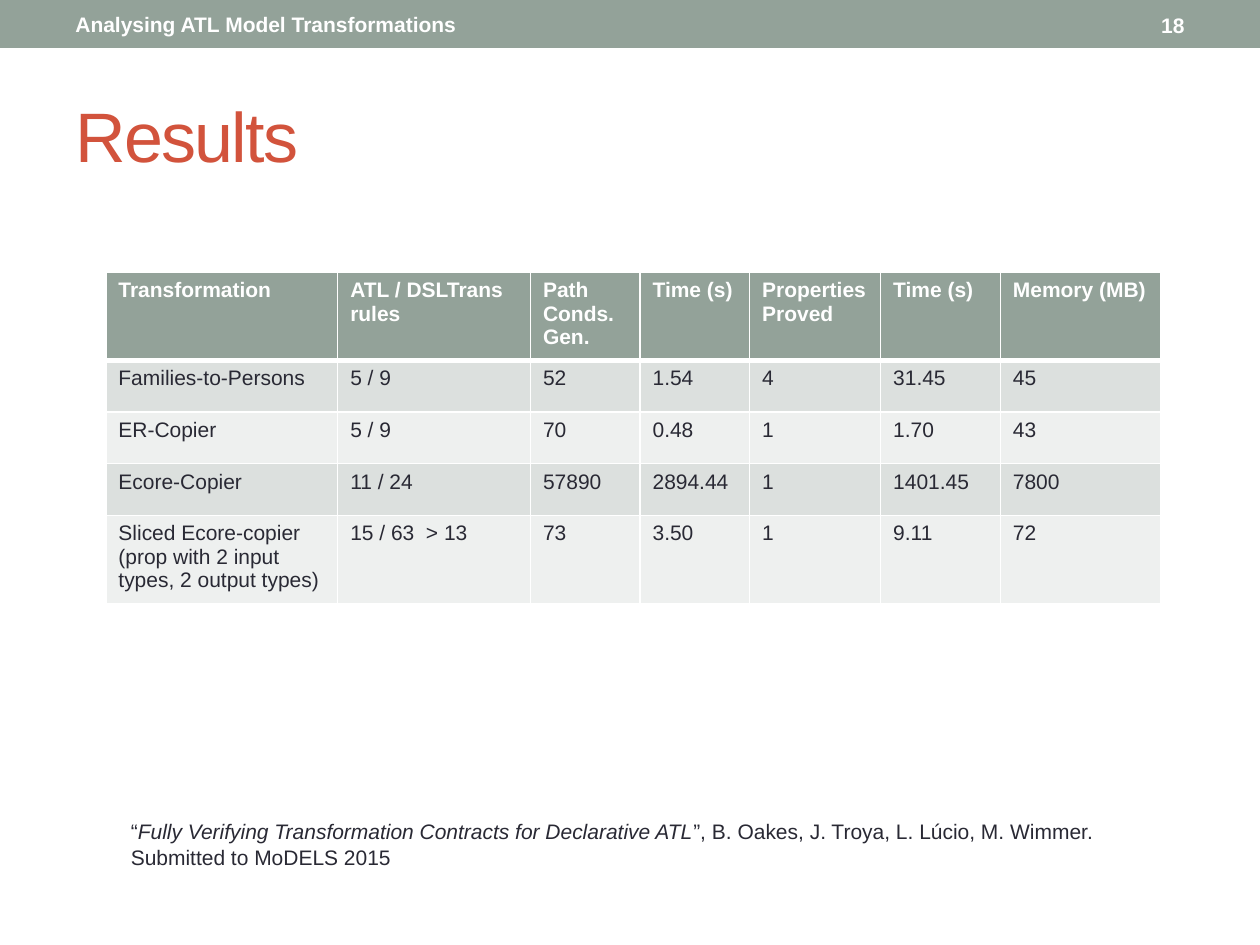
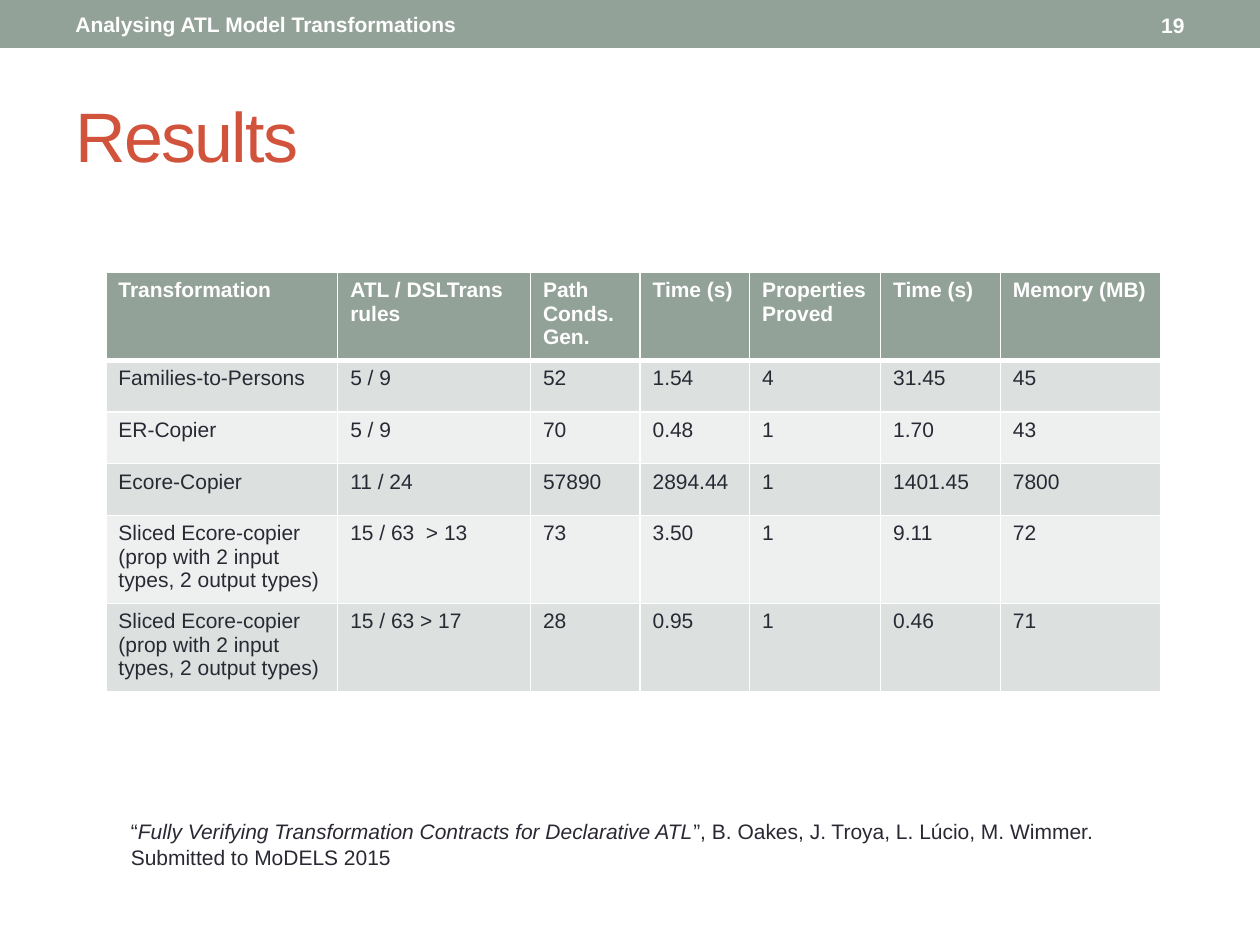
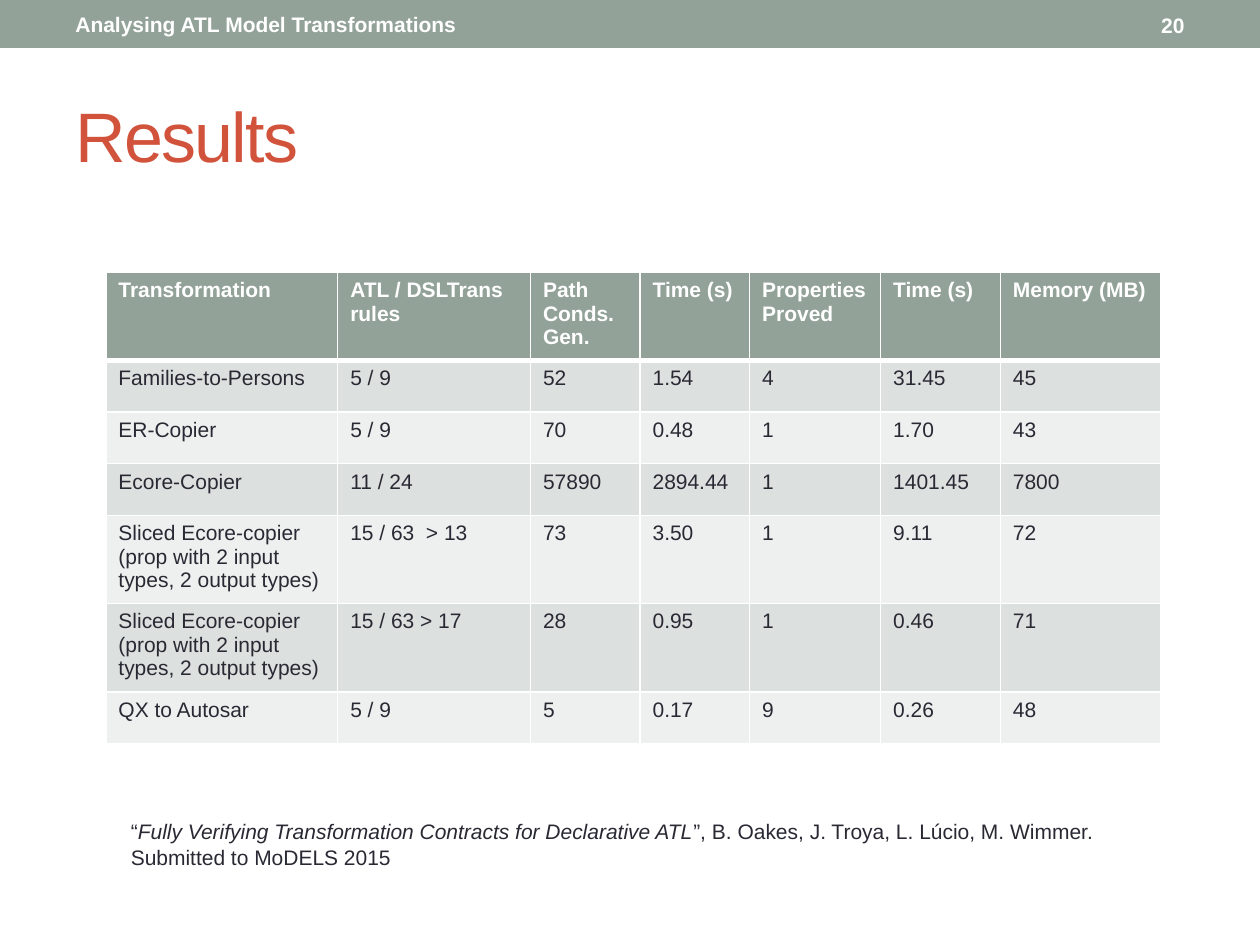
from lxml import etree
from pptx import Presentation
from pptx import util as u
from pptx.dml.color import RGBColor
from pptx.enum import shapes, text
from pptx.oxml import ns

SAGE = RGBColor(0x93, 0xA2, 0x99)
RUST = RGBColor(0xD2, 0x53, 0x3C)
INK = RGBColor(0x29, 0x29, 0x34)
WHITE = RGBColor(0xFF, 0xFF, 0xFF)
ROW_TINTS = (RGBColor(0xDC, 0xE0, 0xDE), RGBColor(0xEE, 0xF0, 0xEF))

BODY = {"name": "Arial", "size": u.Pt(12), "bold": False, "color": INK}
STRONG = {**BODY, "bold": True, "color": WHITE}
HEADLINE = {**BODY, "size": u.Pt(40), "color": RUST}

COLUMN_WIDTHS = (1.84, 1.53, 0.87, 0.87, 1.04, 0.95, 1.27)
HEADER_HEIGHT, ROW_HEIGHT = 0.65, 0.41
HEADER = ("Transformation", "ATL / DSLTrans rules", "Path Conds. Gen.", "Time (s)",
          "Properties Proved", "Time (s)", "Memory (MB)")
RESULTS = (
    ("Families-to-Persons", "5 / 9", "52", "1.54", "4", "31.45", "45"),
    ("ER-Copier", "5 / 9", "70", "0.48", "1", "1.70", "43"),
    ("Ecore-Copier", "11 / 24", "57890", "2894.44", "1", "1401.45", "7800"),
    ("Sliced Ecore-copier (prop with 2 input types, 2 output types)",
     "15 / 63  > 13", "73", "3.50", "1", "9.11", "72"),
    ("Sliced Ecore-copier\n(prop with 2 input types, 2 output types)",
     "15 / 63 > 17", "28", "0.95", "1", "0.46", "71"),
    ("QX to Autosar", "5 / 9", "5", "0.17", "9", "0.26", "48"),
)
CITATION = (
    (("“", {}),
     ("Fully Verifying Transformation Contracts for Declarative ATL", {"italic": True}),
     ("”, B. Oakes, J. Troya, L. Lúcio, M. Wimmer.", {})),
    (("Submitted to MoDELS 2015", {}),),
)
FIRST_NUMBER = 18
FIRST_ROW_COUNT = 4


def apply_font(font, style):
    for key, value in style.items():
        if key == "color":
            font.color.rgb = value
        else:
            setattr(font, key, value)


def set_borders(cell, points_by_side):
    """Draw white cell borders; sides are L, R, T, B, the order the schema asks for."""
    properties = cell._tc.get_or_add_tcPr()
    for side, points in points_by_side.items():
        line = etree.SubElement(properties, ns.qn(f"a:ln{side}"), w=str(u.Pt(points)))
        fill = etree.SubElement(line, ns.qn("a:solidFill"))
        etree.SubElement(fill, ns.qn("a:srgbClr"), val=str(WHITE))


class Deck:
    """Holds the presentation, its shared look and the current slide."""

    def __init__(self):
        self.presentation = Presentation()
        self.presentation.slide_width = u.Inches(10)
        self.presentation.slide_height = u.Inches(7.5)
        self.slide = None

    def new_slide(self, title, number):
        self.slide = self.presentation.slides.add_slide(self.presentation.slide_layouts[6])
        self.band(0, 0, 10, 0.38)
        self.label(0.5, 0.01, 6.79, 0.36, "Analysing ATL Model Transformations", STRONG)
        headline = self.label(0.5, 0.53, 9, 1.08, title, HEADLINE)
        headline.runs[0].font._element.set("spc", "-100")
        page = self.label(8.33, 0.02, 1.17, 0.36, str(number), STRONG)
        page.alignment = text.PP_ALIGN.RIGHT

    def band(self, *box):
        band = self.slide.shapes.add_shape(shapes.MSO_SHAPE.RECTANGLE, *map(u.Inches, box))
        band.shadow.inherit = False
        band.fill.solid()
        band.fill.fore_color.rgb = SAGE
        band.line.fill.background()

    def text_frame(self, *box, **settings):
        frame = self.slide.shapes.add_textbox(*map(u.Inches, box)).text_frame
        for key, value in settings.items():
            setattr(frame, key, value)
        return frame

    def label(self, left, top, width, height, words, style):
        """Add one line, centred vertically, and return its paragraph."""
        frame = self.text_frame(left, top, width, height, word_wrap=True,
                                vertical_anchor=text.MSO_ANCHOR.MIDDLE)
        frame.text = words
        apply_font(frame.paragraphs[0].runs[0].font, style)
        return frame.paragraphs[0]

    def citation(self, *box):
        frame = self.text_frame(*box, word_wrap=False,
                                auto_size=text.MSO_AUTO_SIZE.SHAPE_TO_FIT_TEXT)
        for index, pieces in enumerate(CITATION):
            paragraph = frame.add_paragraph() if index else frame.paragraphs[0]
            for words, emphasis in pieces:
                run = paragraph.add_run()
                run.text = words
                apply_font(run.font, {**BODY, **emphasis})

    def results_table(self, left, top, results):
        rows = (HEADER, *results)
        height = HEADER_HEIGHT + ROW_HEIGHT * len(results)
        table = self.slide.shapes.add_table(
            len(rows), len(HEADER),
            *map(u.Inches, (left, top, sum(COLUMN_WIDTHS), height))).table
        for column, width in zip(table.columns, COLUMN_WIDTHS):
            column.width = u.Inches(width)
        for index, (row, values) in enumerate(zip(table.rows, rows)):
            row.height = u.Inches(ROW_HEIGHT if index else HEADER_HEIGHT)
            style = BODY if index else STRONG
            tint = ROW_TINTS[(index - 1) % 2] if index else SAGE
            borders = {"L": 1, "R": 1, "T": 3 if index == 1 else 1, "B": 1 if index else 3}
            for cell, value in zip(row.cells, values):
                self.fill_cell(cell, value, style, tint, borders)

    def fill_cell(self, cell, value, style, tint, borders):
        set_borders(cell, borders)
        cell.fill.solid()
        cell.fill.fore_color.rgb = tint
        cell.text = value
        for paragraph in cell.text_frame.paragraphs:
            apply_font(paragraph.runs[0].font, style)


def main():
    deck = Deck()
    for step, row_count in enumerate(range(FIRST_ROW_COUNT, len(RESULTS) + 1)):
        deck.new_slide("Results", FIRST_NUMBER + step)
        deck.results_table(0.84, 2.16, RESULTS[:row_count])
        deck.citation(0.94, 6.45, 7.87, 0.5)
    deck.presentation.save("out.pptx")


if __name__ == "__main__":
    main()
